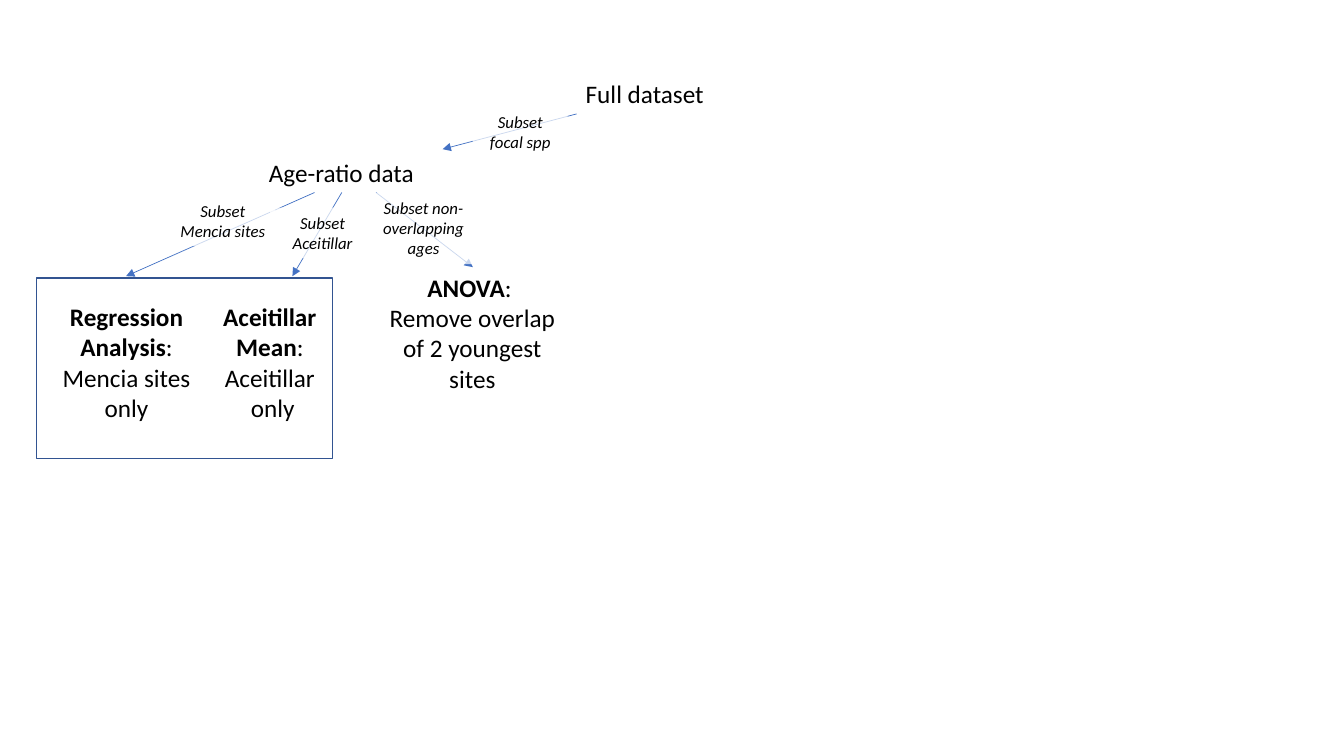
from dataclasses import dataclass

from lxml import etree
from pptx import Presentation
from pptx import util as u
from pptx.dml.color import RGBColor
from pptx.enum import shapes, text
from pptx.oxml.ns import qn


@dataclass(frozen=True)
class Theme:
    font: str = "Calibri"
    ink: RGBColor = RGBColor(0, 0, 0)
    veil: RGBColor = RGBColor(0xFF, 0xFF, 0xFF)
    veil_alpha: int = 72
    arrow: RGBColor = RGBColor(0x44, 0x72, 0xC4)
    frame: RGBColor = RGBColor(0x32, 0x54, 0x91)
    node_size: int = 18
    step_size: int = 12
    arrow_width: float = 0.5
    frame_width: float = 1


THEME = Theme()
NODE_WIDTH = 1.87
RESULT_HEIGHT = 1.62


def inches(*lengths):
    return [u.Inches(length) for length in lengths]


def add_text(parent, place, lines, size, italic=None):
    box = parent.add_textbox(*inches(*place))
    frame = box.text_frame
    frame.word_wrap = True
    frame.auto_size = text.MSO_AUTO_SIZE.SHAPE_TO_FIT_TEXT
    for index, (bold_part, plain_part) in enumerate(lines):
        para = frame.add_paragraph() if index else frame.paragraphs[0]
        para.alignment = text.PP_ALIGN.CENTER
        para.font.name = THEME.font
        para.font.size = u.Pt(size)
        para.font.italic = italic
        para.font.color.rgb = THEME.ink
        for words, bold in ((bold_part, True), (plain_part, None)):
            if words:
                span = para.add_run()
                span.text = words
                span.font.bold = bold
    return box


def add_node(parent, left, top, lines, height=0.4):
    add_text(parent, (left, top, NODE_WIDTH, height), lines, THEME.node_size)


def add_arrow(page, start, end):
    arrow = page.shapes.add_connector(
        shapes.MSO_CONNECTOR.STRAIGHT, *inches(*start, *end))
    arrow.line.color.rgb = THEME.arrow
    arrow.line.width = u.Pt(THEME.arrow_width)
    tail = etree.SubElement(arrow.line._get_or_add_ln(), qn("a:tailEnd"))
    tail.set("type", "triangle")
    etree.SubElement(arrow._element.spPr, qn("a:effectLst"))


def add_step(page, start, end, place, label):
    add_arrow(page, start, end)
    box = add_text(page.shapes, place, [("", label)], THEME.step_size, True)
    box.fill.solid()
    box.fill.fore_color.rgb = THEME.veil
    color = box._element.spPr.find(qn("a:solidFill"))[0]
    alpha = etree.SubElement(color, qn("a:alpha"))
    alpha.set("val", str(THEME.veil_alpha * 1000))


def add_frame(parent, place):
    frame = parent.add_shape(shapes.MSO_SHAPE.RECTANGLE, *inches(*place))
    frame.shadow.inherit = False
    frame.fill.background()
    frame.line.color.rgb = THEME.frame
    frame.line.width = u.Pt(THEME.frame_width)


def add_mean_analyses(page):
    group = page.shapes.add_group_shape().shapes
    add_node(group, 0.32, 2.94,
             [("Regression Analysis", ": Mencia sites only")], RESULT_HEIGHT)
    add_node(group, 1.77, 2.94,
             [("Aceitillar ", ""), ("Mean", ": "),
              ("", "Aceitillar "), ("", "only")], RESULT_HEIGHT)
    add_frame(group, (0.36, 2.76, 2.94, 1.79))


def main():
    deck = Presentation()
    deck.slide_width, deck.slide_height = inches(13.33, 7.5)
    page = deck.slides.add_slide(deck.slide_layouts[6])

    add_node(page.shapes, 5.46, 0.73, [("", "Full dataset")])
    add_node(page.shapes, 2.45, 1.51, [("", "Age-ratio data")])
    add_node(page.shapes, 3.75, 2.65,
             [("ANOVA", ": "), ("", "Remove overlap of 2 youngest sites")],
             RESULT_HEIGHT)
    add_mean_analyses(page)

    steps = [
        ((5.72, 1.13), (4.39, 1.48), (4.69, 1.06, 0.94, 0.5),
         "Subset focal spp"),
        ((3.12, 1.91), (1.25, 2.74), (1.69, 1.94, 1.04, 0.5),
         "Subset Mencia sites"),
        ((3.39, 1.91), (2.9, 2.74), (2.68, 2.06, 1.04, 0.5),
         "Subset Aceitillar"),
        ((3.73, 1.91), (4.69, 2.65), (3.68, 1.91, 1.04, 0.71),
         "Subset non-overlapping ages"),
    ]
    for step in steps:
        add_step(page, *step)

    deck.save("out.pptx")


main()
